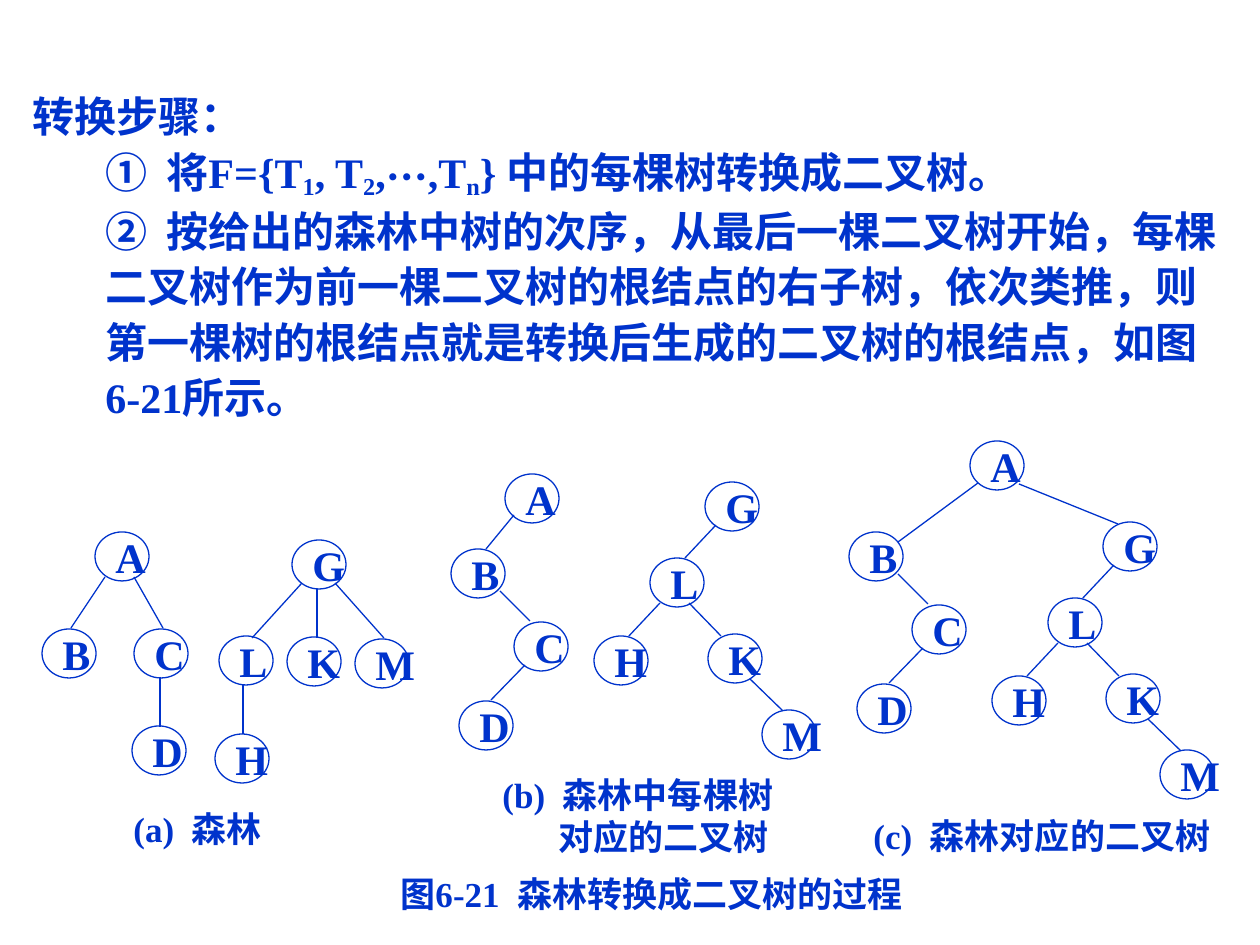
import pptx
import pptx.dml.color
import pptx.enum.shapes
import pptx.enum.text
import pptx.oxml.ns
import pptx.util
from lxml import etree

BLUE = pptx.dml.color.RGBColor(0x00, 0x33, 0xCC)
LATIN_FONT = "Times New Roman"
CJK_FONT = "Noto Sans CJK SC"
EMU_PER_PX = 914400 / 126
NODE_W, NODE_H = 54, 49

# Each tree: nodes as name -> (left, top), edges as (x1, y1, x2, y2),
# all in px from the left top of its root node.
FOREST_A = (
    {"A": (0, 0), "B": (-53, 97), "C": (39, 97), "D": (37, 194)},
    [(10, 45, -24, 96), (39, 45, 68, 96), (65, 145, 65, 195)],
)
FOREST_G = (
    {"G": (0, 0), "L": (-73, 96), "K": (-5, 97), "M": (63, 99), "H": (-77, 194)},
    [(10, 43, -40, 98), (25, 49, 25, 98), (43, 43, 92, 98), (-49, 145, -49, 194)],
)
BINARY_B = (
    {"B": (0, 0), "C": (63, 73), "D": (8, 152)},
    [(49, 42, 79, 72), (74, 116, 40, 151)],
)
BINARY_G = (
    {"G": (0, 0), "L": (-55, 76), "K": (3, 152), "H": (-111, 154), "M": (57, 228)},
    [(11, 43, -20, 76), (-16, 121, 16, 154), (-45, 121, -76, 154),
     (45, 197, 78, 229)],
)
ROOT_B = ({"A": (0, 0)}, [(9, 41, -19, 75)])
ROOT_C = ({"A": (0, 0)}, [(8, 42, -72, 101), (49, 43, 148, 83)])

TREES = [
    (FOREST_A, 95, 532), (FOREST_G, 292, 540),
    (ROOT_B, 505, 474), (BINARY_B, 451, 549), (BINARY_G, 705, 482),
    (ROOT_C, 970, 441), (BINARY_B, 849, 532), (BINARY_G, 1103, 522),
]

# Paragraphs as (indent in px, runs); a run is (text, is subscript).
STEPS = [
    (0, [("转换步骤：", False)]),
    (73, [("①  将F={T", False), ("1", True), (", T", False), ("2", True),
          (",⋯,T", False), ("n", True), ("} 中的每棵树转换成二叉树。", False)]),
    (73, [("②  按给出的森林中树的次序，从最后一棵二叉树开始，每棵二叉树作为"
           "前一棵二叉树的根结点的右子树，依次类推，则第一棵树的根结点就是"
           "转换后生成的二叉树的根结点，如图6-21所示。", False)]),
]

# Captions as (left, top, width, height, [(indent, line)]).
CAPTIONS = [
    (121, 804, 174, 49, [(0, "(a)  森林")]),
    (490, 771, 322, 90, [(0, "(b)  森林中每棵树"), (56, "对应的二叉树")]),
    (861, 811, 380, 49, [(0, "(c)  森林对应的二叉树")]),
    (388, 869, 560, 49, [(0, "图6-21  森林转换成二叉树的过程")]),
]


def px(n):
    return pptx.util.Emu(round(n * EMU_PER_PX))


def add_run(p, text, size, subscript=False):
    r = p.add_run()
    r.text = text
    r.font.size = pptx.util.Pt(size)
    r.font.bold = True
    r.font.name = LATIN_FONT
    r.font.color.rgb = BLUE
    rPr = r._r.get_or_add_rPr()
    ea = etree.Element(pptx.oxml.ns.qn("a:ea"), typeface=CJK_FONT)
    rPr.find(pptx.oxml.ns.qn("a:latin")).addnext(ea)
    if subscript:
        rPr.set("baseline", "-18000")


def fill_text(tf, paragraphs, size, line_spacing=1.0):
    for i, (indent, runs) in enumerate(paragraphs):
        p = tf.paragraphs[0] if i == 0 else tf.add_paragraph()
        p.alignment = pptx.enum.text.PP_ALIGN.LEFT
        p.line_spacing = line_spacing
        if indent:
            pPr = p._p.get_or_add_pPr()
            pPr.set("marL", str(px(indent)))
            pPr.set("indent", "0")
        for text, subscript in runs:
            add_run(p, text, size, subscript)


def add_steps(s):
    tf = s.shapes.add_textbox(px(20), px(79), px(1218), px(363)).text_frame
    tf.word_wrap = True
    fill_text(tf, STEPS, 24, 1.1)


def add_caption(s, left, top, width, height, lines):
    tf = s.shapes.add_textbox(px(left), px(top), px(width), px(height)).text_frame
    tf.word_wrap = True
    tf.vertical_anchor = pptx.enum.text.MSO_ANCHOR.MIDDLE
    fill_text(tf, [(indent, [(text, False)]) for indent, text in lines], 20)


def add_node(s, name, left, top):
    sp = s.shapes.add_shape(pptx.enum.shapes.MSO_SHAPE.OVAL,
                            px(left), px(top), px(NODE_W), px(NODE_H))
    sp.shadow.inherit = False
    sp.fill.background()
    sp.line.color.rgb = BLUE
    sp.line.width = pptx.util.Pt(0.75)
    tf = sp.text_frame
    tf.word_wrap = False
    tf.vertical_anchor = pptx.enum.text.MSO_ANCHOR.MIDDLE
    fill_text(tf, [(0, [(name, False)])], 24)


def add_edge(s, x1, y1, x2, y2):
    line = s.shapes.add_connector(pptx.enum.shapes.MSO_CONNECTOR.STRAIGHT,
                                  px(x1), px(y1), px(x2), px(y2))
    line.line.color.rgb = BLUE
    line.line.width = pptx.util.Pt(0.75)
    etree.SubElement(line._element.spPr, pptx.oxml.ns.qn("a:effectLst"))


def add_tree(s, tree, left, top):
    nodes, edges = tree
    for name, (dx, dy) in nodes.items():
        add_node(s, name, left + dx, top + dy)
    for x1, y1, x2, y2 in edges:
        add_edge(s, left + x1, top + y1, left + x2, top + y2)


def main():
    prs = pptx.Presentation()
    prs.slide_width, prs.slide_height = px(1260), px(945)
    s = prs.slides.add_slide(prs.slide_layouts[6])
    add_steps(s)
    for tree, left, top in TREES:
        add_tree(s, tree, left, top)
    for caption in CAPTIONS:
        add_caption(s, *caption)
    prs.save("out.pptx")


if __name__ == "__main__":
    main()
